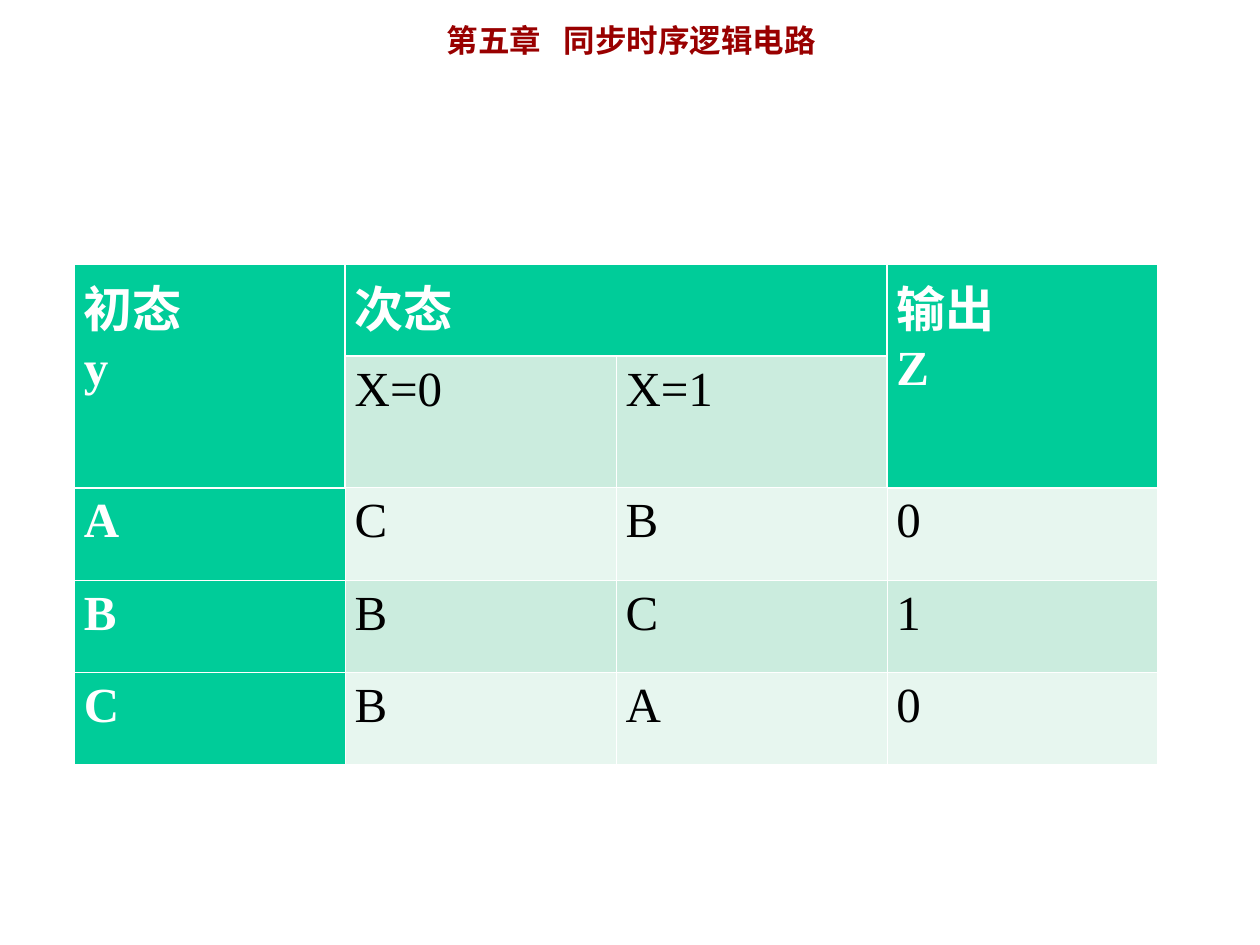
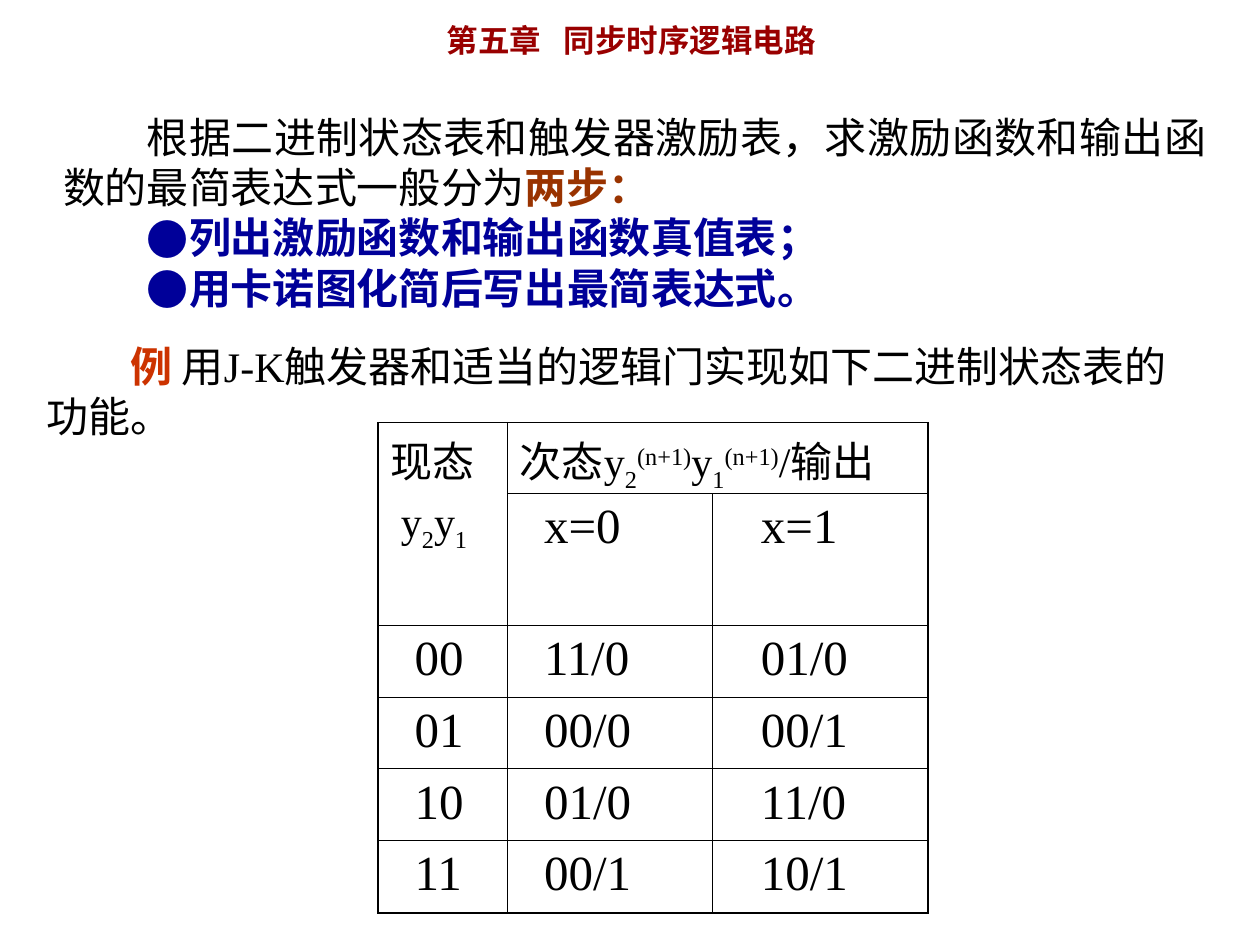
import itertools

import pptx
import pptx.dml.color
import pptx.enum.text
import pptx.oxml
import pptx.oxml.ns
import pptx.util
from pptx.util import Cm

COLORS = {
    "chapter": "990000", "text": "000000", "emphasis": "993300",
    "step": "000099", "example": "CC3300", "white": "FFFFFF",
    "header": "00CC99", "band_dark": "CBECDE", "band_light": "E7F6EF",
}
LATIN_FONT = "Times New Roman"
CHINESE_FONT = "Noto Sans CJK JP"
CHAPTER = [("第五章", "chapter"), (" ", "chapter_gap"), ("同步时序逻辑电路", "chapter")]
CHAPTER_BOX = (8.76, 0.3, 9.35, 1.02)
METHOD_BOX = (1.02, 2.11, 23.55, 4.32)
EXAMPLE_BOX = (0.69, 6.73, 24.71, 2.29)
THIN, THICK, OUTLINE = 0.45, 1.47, 1.08
SUBSCRIPT, SUPERSCRIPT = -25, 30
FIRST_LINE = 1.69
BULLET_WIDTH = 0.85

CHAPTER_STYLE = {"size": 18, "bold": True, "color": "chapter", "name": CHINESE_FONT}
STYLES = {
    "chapter": CHAPTER_STYLE,
    "chapter_gap": {**CHAPTER_STYLE, "tracking": 8.8},
    "text": {"size": 24},
    "emphasis": {"size": 24, "bold": True, "color": "emphasis"},
    "step": {"size": 24, "bold": True, "color": "step"},
    "example": {"size": 24, "bold": True, "color": "example"},
    "heading": {"size": 28, "bold": True, "color": "white"},
    "value": {"size": 28},
    "subscript": {"size": 24, "baseline": SUBSCRIPT},
    "superscript": {"size": 24, "baseline": SUPERSCRIPT},
}

STATE_ROWS = [
    ["初态\ny", "次态", "", "输出\nZ"],
    ["", "X=0", "X=1", ""],
    ["A", "C", "B", "0"],
    ["B", "B", "C", "1"],
    ["C", "B", "A", "0"],
]
BINARY_ROWS = [
    ["", "x=0", "x=1"],
    ["00", "11/0", "01/0"],
    ["01", "00/0", "00/1"],
    ["10", "01/0", "11/0"],
    ["11", "00/1", "10/1"],
]
PRESENT_STATE = [("y", "text"), ("2", "subscript"), ("y", "text"), ("1", "subscript")]
NEXT_STATE = [("次态y", "text"), ("2", "subscript"), ("(n+1)", "superscript"),
              ("y", "text"), ("1", "subscript"), ("(n+1)", "superscript"),
              ("/输出", "text")]


def rgb(name):
    """Return the named colour."""
    return pptx.dml.color.RGBColor.from_string(COLORS[name])


def child(parent, tag, **attributes):
    """Append a drawing element with the given attributes."""
    element = pptx.oxml.parse_xml(f"<a:{tag} {pptx.oxml.ns.nsdecls('a')}/>")
    for key, value in attributes.items():
        element.set(key, str(value))
    parent.append(element)
    return element


def set_values(target, values):
    """Set attributes of an object from a dict."""
    for key, value in values.items():
        setattr(target, key, value)


def add_run(paragraph, text, style_name):
    """Add a run in one of the named styles."""
    style = STYLES[style_name]
    run = paragraph.add_run()
    run.text = text
    set_values(run.font, {
        "size": pptx.util.Pt(style["size"]),
        "bold": style.get("bold", False),
        "name": style.get("name", LATIN_FONT),
    })
    run.font.color.rgb = rgb(style.get("color", "text"))
    properties = run.font._element
    child(properties, "ea", typeface=CHINESE_FONT)
    if "baseline" in style:
        properties.set("baseline", str(style["baseline"] * 1000))
    if "tracking" in style:
        properties.set("spc", str(round(style["tracking"] * 100)))


def add_paragraph(frame, runs, position=0, margin=0, indent=0, bullet=None, before=0,
                  align=pptx.enum.text.PP_ALIGN.LEFT):
    """Fill the paragraph at a position with styled runs."""
    paragraph = frame.add_paragraph() if position else frame.paragraphs[0]
    set_values(paragraph, {"alignment": align, "space_before": pptx.util.Pt(before)})
    properties = paragraph._p.get_or_add_pPr()
    properties.set("marL", str(Cm(margin)))
    properties.set("indent", str(Cm(indent)))
    if bullet:
        child(properties, "buFont", typeface=CHINESE_FONT)
        child(properties, "buChar", char=bullet)
    else:
        child(properties, "buNone")
    for text, style_name in runs:
        add_run(paragraph, text, style_name)


def prepare_text(shape, box):
    """Place a text shape and return its frame."""
    set_values(shape, dict(zip(("left", "top", "width", "height"), map(Cm, box))))
    frame = shape.text_frame
    set_values(frame, {
        "word_wrap": True, "auto_size": pptx.enum.text.MSO_AUTO_SIZE.NONE,
        "vertical_anchor": pptx.enum.text.MSO_ANCHOR.TOP,
        "margin_left": Cm(0.25), "margin_right": Cm(0.25),
        "margin_top": Cm(0.13), "margin_bottom": Cm(0.13),
    })
    return frame


def add_chapter_slide(presentation, layout_index):
    """Add a slide headed by the chapter name."""
    slide = presentation.slides.add_slide(presentation.slide_layouts[layout_index])
    add_paragraph(prepare_text(slide.shapes.title, CHAPTER_BOX), CHAPTER)
    return slide


def add_grid(slide, left, top, widths, heights):
    """Add an unstyled table with the given column widths and row heights."""
    table = slide.shapes.add_table(len(heights), len(widths), Cm(left), Cm(top),
                                   Cm(sum(widths)), Cm(sum(heights))).table
    set_values(table, {"first_row": False, "horz_banding": False})
    for column, width in zip(table.columns, widths):
        column.width = Cm(width)
    for row, height in zip(table.rows, heights):
        row.height = Cm(height)
    return table


def format_cell(cell, margin, bottom, color, borders, fill=None):
    """Set margins, borders (left, right, top, bottom) and fill of a cell."""
    set_values(cell, {"margin_left": Cm(margin), "margin_right": Cm(margin),
                      "margin_top": Cm(0.13), "margin_bottom": Cm(bottom)})
    properties = cell._tc.get_or_add_tcPr()
    for side, width in zip(("lnL", "lnR", "lnT", "lnB"), borders):
        line = child(properties, side, w=pptx.util.Pt(width))
        child(child(line, "solidFill"), "srgbClr", val=COLORS[color])
    if fill:
        cell.fill.solid()
        cell.fill.fore_color.rgb = rgb(fill)
    else:
        cell.fill.background()


def add_state_table(slide, left, top):
    """Add the symbolic state table with coloured bands."""
    table = add_grid(slide, left, top, [5.46] * 4, [1.85, 2.36] + [1.86] * 3)
    for row, column in itertools.product(range(5), range(4)):
        cell = table.cell(row, column)
        is_header = row == 0 or column == 0 or (row == 1 and column == 3)
        band = "band_dark" if row % 2 else "band_light"
        borders = (
            THICK if row < 2 and column in (1, 3) else THIN,
            THICK if row < 2 and column in (0, 2) else THIN,
            THICK if row == 1 and column in (1, 2) or row == 2 and column in (0, 3) else THIN,
            THICK if row == 0 or row == 1 and column in (0, 3) else THIN,
        )
        format_cell(cell, 0.19, 0 if row < 2 else 0.13, "white", borders,
                    "header" if is_header else band)
        text = STATE_ROWS[row][column]
        for position, line in enumerate(text.split("\n") if text else []):
            add_paragraph(cell.text_frame, [(line, "heading" if is_header else "value")],
                          position)
    table.cell(0, 0).merge(table.cell(1, 0))
    table.cell(0, 1).merge(table.cell(0, 2))
    table.cell(0, 3).merge(table.cell(1, 3))


def add_binary_table(slide, left, top):
    """Add the outlined binary state table."""
    table = add_grid(slide, left, top, [2.61, 4.12, 4.36], [1.41, 2.65] + [1.45] * 4)
    for row, column in itertools.product(range(6), range(3)):
        edges = (column == 0, column == 2 or (row, column) == (0, 1), row == 0, row == 5)
        format_cell(table.cell(row, column), 0.25, 0 if row < 2 else 0.13, "text",
                    [OUTLINE if edge else THIN for edge in edges])
    for row, values in enumerate(BINARY_ROWS, 1):
        for column, (value, margin) in enumerate(zip(values, (0.49, 0.49, 0.74))):
            if value:
                add_paragraph(table.cell(row, column).text_frame, [(value, "value")],
                              margin=margin)
    present = table.cell(0, 0).text_frame
    add_paragraph(present, [("现态", "text")])
    add_paragraph(present, PRESENT_STATE, 1, margin=0.21, before=6)
    add_paragraph(table.cell(0, 1).text_frame, NEXT_STATE)
    table.cell(0, 0).merge(table.cell(1, 0))
    table.cell(0, 1).merge(table.cell(0, 2))


def add_method(slide, box):
    """Describe the two steps in the body placeholder."""
    frame = prepare_text(slide.placeholders[1], box)
    justify = pptx.enum.text.PP_ALIGN.JUSTIFY
    add_paragraph(frame, [
        ("根据二进制状态表和触发器激励表，求激励函数和输出函数的最简表达式一般分为", "text"),
        ("两步：", "emphasis"),
    ], indent=FIRST_LINE, align=justify)
    steps = ["列出激励函数和输出函数真值表；", "用卡诺图化简后写出最简表达式。"]
    for position, step in enumerate(steps, 1):
        add_paragraph(frame, [(step, "step")], position, margin=FIRST_LINE + BULLET_WIDTH,
                      indent=-BULLET_WIDTH, bullet="●", align=justify)


def add_example(slide, box):
    """State the example task."""
    frame = prepare_text(slide.shapes.add_textbox(0, 0, 0, 0), box)
    add_paragraph(frame, [
        ("例 ", "example"),
        ("用J-K触发器和适当的逻辑门实现如下二进制状态表的", "text"),
    ], indent=FIRST_LINE)
    add_paragraph(frame, [("功能。", "text")], 1)


def main():
    """Build both slides and save them."""
    presentation = pptx.Presentation()
    set_values(presentation, {"slide_width": Cm(25.4), "slide_height": Cm(19.05)})
    add_state_table(add_chapter_slide(presentation, 5), 1.5, 5.33)
    method_slide = add_chapter_slide(presentation, 1)
    add_method(method_slide, METHOD_BOX)
    add_example(method_slide, EXAMPLE_BOX)
    add_binary_table(method_slide, 7.62, 8.52)
    presentation.save("out.pptx")


if __name__ == "__main__":
    main()
